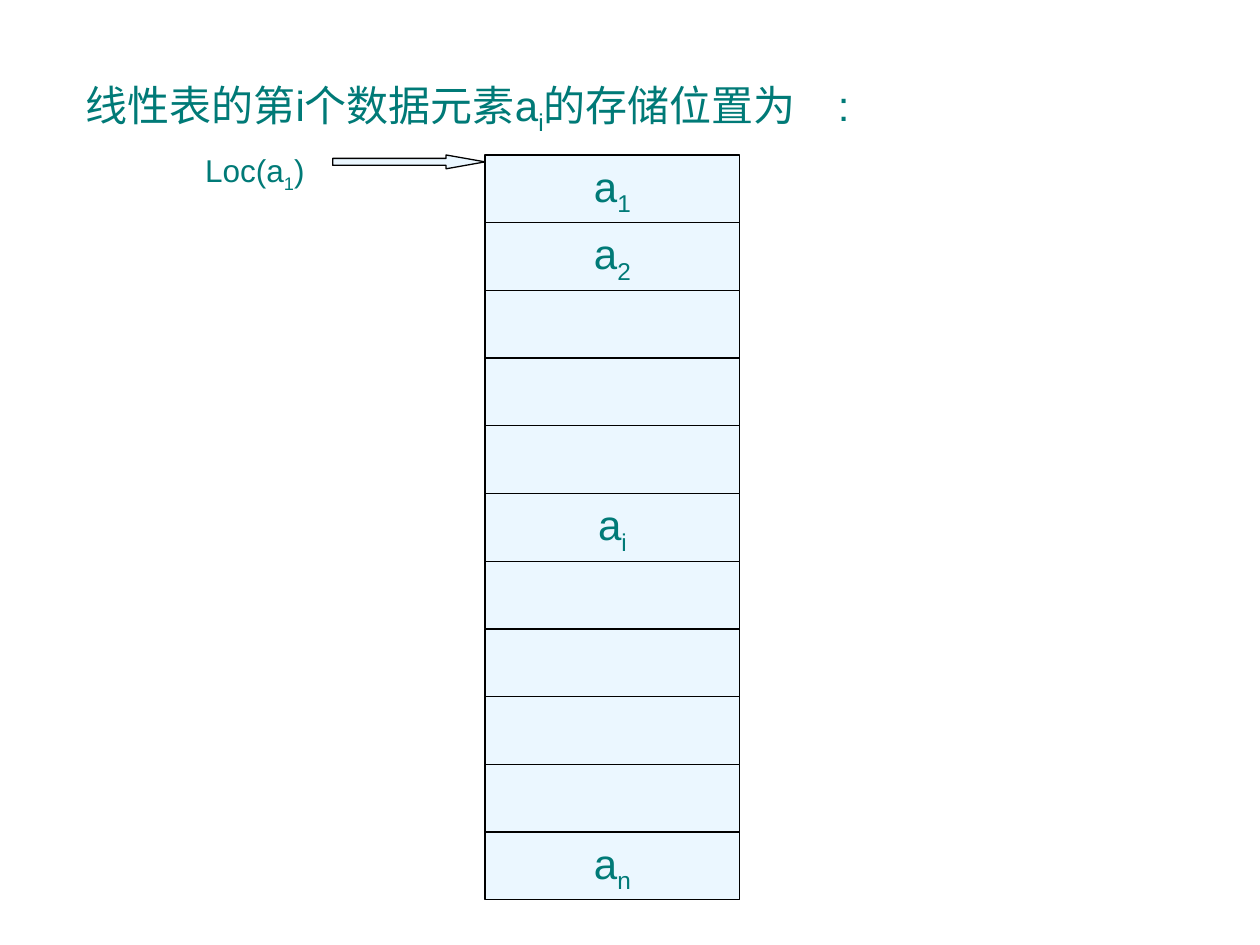
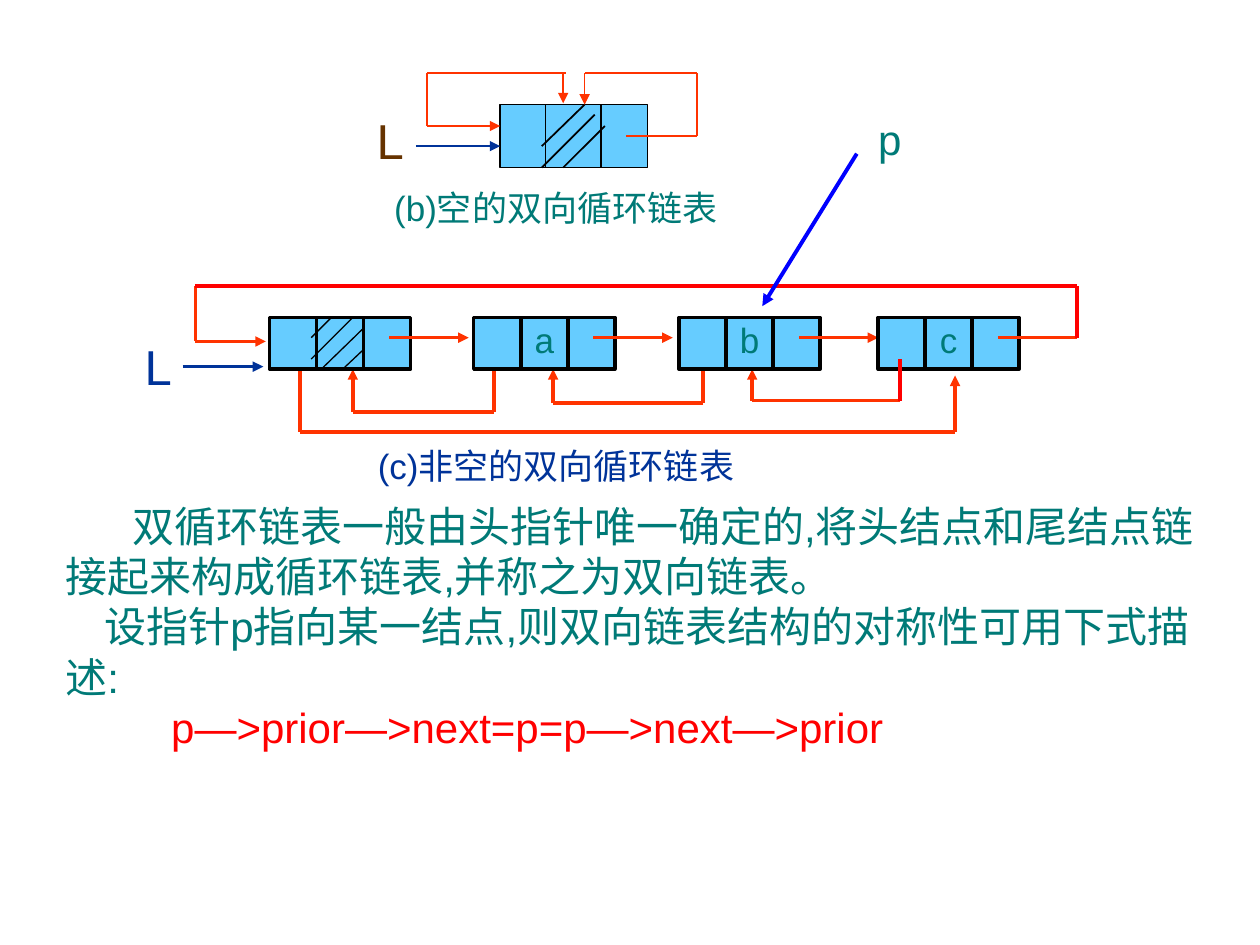
from dataclasses import dataclass
from itertools import pairwise

from lxml import etree
from pptx import Presentation
from pptx.dml.color import RGBColor
from pptx.enum import shapes, text
from pptx.oxml import ns
from pptx.util import Inches, Pt


@dataclass(frozen=True)
class Theme:
    font: str = "Arial"
    teal: str = "007A77"
    navy: str = "003399"
    brown: str = "663300"
    blue: str = "0000FF"
    red: str = "FF0000"
    orange: str = "FF3300"
    black: str = "000000"
    pale: str = "EBF7FF"
    sky: str = "66CCFF"
    body: int = 24
    small: int = 18
    caption: int = 20
    pointer: int = 28
    hair: float = 0.75
    thin: float = 1
    thick: float = 2
    heavy: float = 2.25


T = Theme()


def color(code):
    return RGBColor.from_string(code)


def inside(box, x, y, w, h):
    return box[0] + x, box[1] + y, w, h


def style(p, size, code):
    for r in p.runs:
        r.font.name = T.font
        r.font.size = Pt(size)
        r.font.color.rgb = color(code)


def write(p, parts, size, code):
    for i, part in enumerate(parts):
        r = p.add_run()
        r.text = part
        if i % 2:
            r.font._element.set("baseline", "-25000")
    style(p, size, code)


def label(s, box, parts, size, code, wrap=True):
    sp = s.shapes.add_textbox(*map(Inches, box))
    tf = sp.text_frame
    tf.word_wrap = wrap
    write(tf.paragraphs[0], parts, size, code)


def block(s, box, fill, width, kind=shapes.MSO_SHAPE.RECTANGLE):
    sp = s.shapes.add_shape(kind, *map(Inches, box))
    sp.shadow.inherit = False
    sp.fill.solid()
    sp.fill.fore_color.rgb = color(fill)
    sp.line.color.rgb = color(T.black)
    sp.line.width = Pt(width)
    return sp


def cell(s, box, parts, fill, width, size, spacing=1.0):
    sp = block(s, box, fill, width)
    if parts:
        tf = sp.text_frame
        tf.word_wrap = False
        tf.vertical_anchor = text.MSO_ANCHOR.MIDDLE
        p = tf.paragraphs[0]
        p.alignment = text.PP_ALIGN.CENTER
        p.line_spacing = spacing
        write(p, parts, size, T.teal)


def route(s, box, points, code, width, arrow=True):
    places = [(box[0] + x, box[1] + y) for x, y in points]
    for start, end in pairwise(places):
        c = s.shapes.add_connector(
            shapes.MSO_CONNECTOR.STRAIGHT, *map(Inches, start + end))
        c.line.color.rgb = color(code)
        c.line.width = Pt(width)
        if arrow and end == places[-1]:
            tail = etree.SubElement(c.line._get_or_add_ln(), ns.qn("a:tailEnd"))
            tail.set("type", "triangle")
        etree.SubElement(c._element.spPr, ns.qn("a:effectLst"))


def title(s, box, parts):
    sp = s.shapes.title
    sp.left, sp.top, sp.width, sp.height = map(Inches, box)
    tf = sp.text_frame
    tf.word_wrap = True
    tf.auto_size = text.MSO_AUTO_SIZE.NONE
    tf.vertical_anchor = text.MSO_ANCHOR.TOP
    p = tf.paragraphs[0]
    p.alignment = text.PP_ALIGN.LEFT
    write(p, parts, T.body, T.teal)


def memory_column(s, box, rows, names):
    x, y, w, h = box
    step = h / rows
    for i in range(rows):
        parts = ("a", names[i]) if i in names else ()
        cell(s, (x, y + i * step, w, step), parts, T.pale, T.hair, T.body)


def start_address(s, box):
    label(s, inside(box, 0, 0, 1, 0.44), ("Loc(a", "1", ")"), T.small, T.teal)
    sp = block(s, inside(box, 1.11, 0.08, 1.21, 0.11), T.pale, T.hair,
               shapes.MSO_SHAPE.RIGHT_ARROW)
    sp.adjustments[0] = 0.5
    sp.adjustments[1] = 2.82


def empty_list(s, box):
    block(s, inside(box, 1.08, 0.25, 1.17, 0.5), T.sky, T.thin)
    strokes = [
        [(1.44, 0.25), (1.44, 0.75)],
        [(1.88, 0.25), (1.88, 0.75)],
        [(1.83, 0.33), (1.41, 0.75)],
        [(1.58, 0.75), (1.91, 0.42)],
        [(1.41, 0.58), (1.75, 0.25)],
    ]
    for points in strokes:
        route(s, box, points, T.black, T.thin, arrow=False)
    loops = [
        [(1.6, 0), (0.5, 0), (0.5, 0.42), (1.08, 0.42)],
        [(1.58, 0), (1.58, 0.24)],
        [(2.08, 0.5), (2.64, 0.5), (2.64, 0), (1.75, 0), (1.75, 0.25)],
    ]
    for points in loops:
        route(s, box, points, T.orange, T.thin)
    route(s, box, [(0.41, 0.58), (1.08, 0.58)], T.navy, T.thin)
    label(s, inside(box, 0, 0.25, 0.42, 0.57), ["L"], T.pointer, T.brown)
    label(s, inside(box, 0.14, 0.85, 3.1, 0.44), ["(b)空的双向循环链表"],
          T.caption, T.teal)


def list_node(s, box, name):
    x, y, w, h = box
    for i, part in enumerate(("", name, "")):
        cell(s, (x + i * w / 3, y, w / 3, h), [part] if part else (),
             T.sky, T.thick, T.caption, 0.8)


def full_list(s, box):
    prior_links = [
        [(2.87, 0.66), (2.87, 1), (1.75, 1), (1.75, 0.66)],
        [(4.53, 0.64), (4.53, 0.93), (3.34, 0.93), (3.34, 0.66)],
        [(6.09, 0.91), (4.92, 0.91), (4.92, 0.66)],
        [(1.33, 0.49), (1.33, 1.16), (6.53, 1.16), (6.53, 0.71)],
        [(0.5, 0), (0.5, 0.44), (1.06, 0.44)],
    ]
    for points in prior_links:
        route(s, box, points, T.orange, T.thick)
    route(s, box, [(0.4, 0.64), (1.04, 0.64)], T.navy, T.thick)
    label(s, inside(box, 0, 0.35, 0.4, 0.57), ["L"], T.pointer, T.navy)
    label(s, inside(box, 1.85, 1.21, 3.67, 0.44), ["(c)非空的双向循环链表"
          .replace("(", "(").replace(")", ")")], T.caption, T.navy)

    for x, name in zip((1.09, 2.71, 4.34, 5.92), ("", "a", "b", "c")):
        list_node(s, inside(box, x, 0.25, 1.12, 0.41), name)
        route(s, box, [(x + 0.95, 0.41), (x + 1.58, 0.41)], T.orange, T.thick,
              arrow=name != "c")

    hatching = [
        [(1.58, 0.25), (1.42, 0.41)],
        [(1.75, 0.25), (1.42, 0.58)],
        [(1.84, 0.33), (1.5, 0.66)],
        [(1.67, 0.66), (1.84, 0.5)],
    ]
    for points in hatching:
        route(s, box, points, T.black, T.hair, arrow=False)
    for points in ([(7.5, 0.41), (7.5, 0), (0.5, 0)],
                   [(6.09, 0.58), (6.09, 0.91)]):
        route(s, box, points, T.red, T.heavy, arrow=False)


def node_pointer(s, box):
    label(s, inside(box, 0.82, 0, 0.38, 0.5), ["p"], T.body, T.teal, wrap=False)
    route(s, box, [(0.75, 0.37), (0, 1.58)], T.blue, T.heavy)


def explanation(s, box, lines):
    sp = s.shapes.add_textbox(*map(Inches, box))
    tf = sp.text_frame
    tf.word_wrap = True
    tf.text = "\n".join(line for line, indent, code in lines)
    for p, (line, indent, code) in zip(tf.paragraphs, lines):
        p._p.get_or_add_pPr().set("indent", str(Inches(indent)))
        style(p, T.body, code)


def storage_slide(prs):
    s = prs.slides.add_slide(prs.slide_layouts[5])
    title(s, (0.58, 0.58, 7.33, 0.56),
          ("线性表的第i个数据元素a", "i", "的存储位置为\u3000:"))
    memory_column(s, (3.85, 1.23, 2.02, 5.91), 11,
                  {0: "1", 1: "2", 5: "i", 10: "n"})
    start_address(s, (1.53, 1.15, 2.32, 0.44))


def linked_list_slide(prs):
    s = prs.slides.add_slide(prs.slide_layouts[6])
    explanation(s, (0.42, 3.92, 9.25, 2.5), [
        ("双循环链表一般由头指针唯一确定的,将头结点和尾结点"
         "链接起来构成循环链表,并称之为双向链表。".replace(",", ","), 0.53, T.teal),
        ("设指针p指向某一结点,则双向链表结构的对称性可用下式描述:", 0.31, T.teal),
        ("p—>prior—>next=p=p—>next—>prior", 0.84, T.red),
    ])
    empty_list(s, (2.89, 0.58, 3.23, 1.29))
    full_list(s, (1.05, 2.27, 7.5, 1.65))
    node_pointer(s, (6.05, 0.85, 1.2, 1.58))


prs = Presentation()
prs.slide_width, prs.slide_height = Inches(10), Inches(7.5)
storage_slide(prs)
linked_list_slide(prs)
prs.save("out.pptx")
